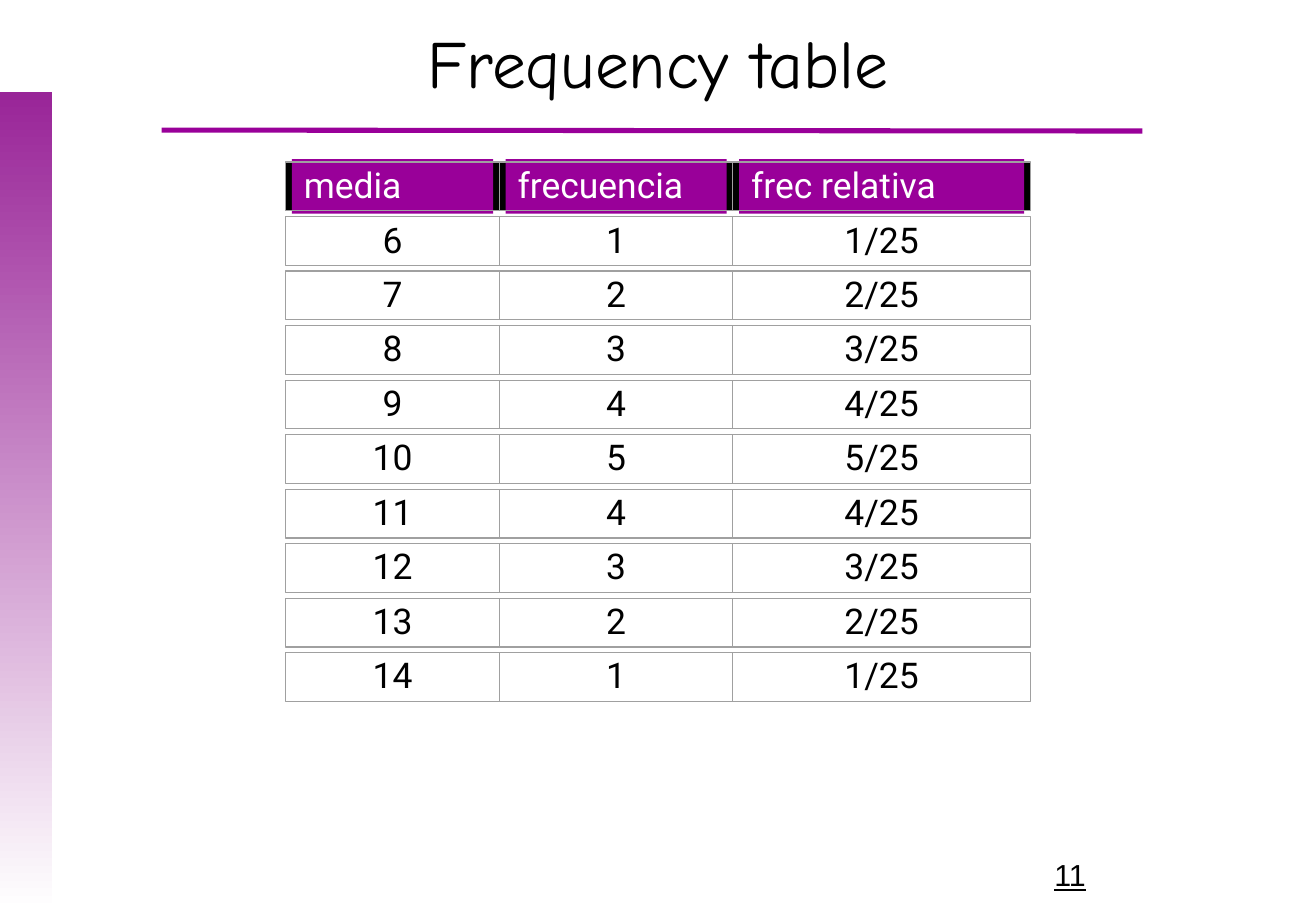
from lxml import etree
from pptx import Presentation
from pptx.dml.color import RGBColor
from pptx.enum.shapes import MSO_CONNECTOR, MSO_SHAPE
from pptx.enum.text import MSO_ANCHOR, PP_ALIGN
from pptx.oxml.ns import qn
from pptx.util import Cm, Pt

RECT = MSO_SHAPE.RECTANGLE
LINE = MSO_CONNECTOR.STRAIGHT
TOP, MIDDLE = MSO_ANCHOR.TOP, MSO_ANCHOR.MIDDLE
LEFT, CENTER, JUSTIFY = PP_ALIGN.LEFT, PP_ALIGN.CENTER, PP_ALIGN.JUSTIFY

BLACK = RGBColor(0x00, 0x00, 0x00)
WHITE = RGBColor(0xFF, 0xFF, 0xFF)
PURPLE = RGBColor(0x99, 0x00, 0x99)
VIOLET = RGBColor(0x99, 0x25, 0x98)
GREY = RGBColor(0xA0, 0xA0, 0xA0)

PLAIN_STYLE = "{2D5ABB26-0587-4C30-8999-92F81FD0307C}"  # no style, no grid

# Table content: media, frecuencia; the relative share follows from the total
HEADS = ["media", "frecuencia", "frec relativa"]
COUNTS = [1, 2, 3, 4, 5, 4, 3, 2, 1]
TOTAL = sum(COUNTS)
ROWS = [HEADS] + [
    [str(mean), str(count), f"{count}/{TOTAL}"]
    for mean, count in enumerate(COUNTS, start=6)
]

# Table geometry in centimetres
GRID_X, GRID_Y = 5.97, 3.33
WIDTHS = [4.47, 4.88, 6.22]
PITCH = 1.14
FRAME = 1.02
GAP = (PITCH - FRAME) / 2
EDGE = 0.13


def add_rect(slide, x, y, w, h, fill=None, line=None):
    rect = slide.shapes.add_shape(RECT, Cm(x), Cm(y), Cm(w), Cm(h))
    rect.shadow.inherit = False
    if fill is None:
        rect.fill.background()
    else:
        rect.fill.solid()
        rect.fill.fore_color.rgb = fill
    if line is None:
        rect.line.fill.background()
    else:
        rect.line.color.rgb = line
        rect.line.width = Pt(0)
    return rect


def style_text(para, face, size, color, align):
    para.alignment = align
    font = para.font
    font.name, font.size = face, Pt(size)
    font.color.rgb = color


def add_text(slide, x, y, w, h, text, face, size, align, anchor):
    frame = slide.shapes.add_textbox(Cm(x), Cm(y), Cm(w), Cm(h)).text_frame
    frame.word_wrap = True
    frame.vertical_anchor = anchor
    para = frame.paragraphs[0]
    para.text = text
    style_text(para, face, size, BLACK, align)
    return para


def add_band(slide):
    band = add_rect(slide, 0, 1.93, 1.09, 17.12)
    band.fill.gradient()
    band.fill.gradient_angle = 270
    for stop, color in zip(band.fill.gradient_stops, (VIOLET, WHITE)):
        stop.color.rgb = color


def add_rule(slide):
    rule = slide.shapes.add_connector(
        LINE, Cm(3.38), Cm(2.72), Cm(23.88), Cm(2.74))
    rule.line.color.rgb = PURPLE
    rule.line.width = Pt(3)
    etree.SubElement(rule._element.spPr, qn("a:effectLst"))


def add_frames(slide):
    for row in range(len(ROWS)):
        x, y = GRID_X, GRID_Y + row * PITCH
        for width in WIDTHS:
            if row == 0:
                add_rect(slide, x, y + GAP, width, FRAME, fill=BLACK)
                add_rect(slide, x + EDGE, y, width - 2 * EDGE, PITCH,
                         fill=PURPLE)
            add_rect(slide, x, y + GAP, width, FRAME, line=GREY)
            x += width


def add_grid(slide):
    table = slide.shapes.add_table(
        len(ROWS), len(WIDTHS), Cm(GRID_X), Cm(GRID_Y),
        Cm(sum(WIDTHS)), Cm(PITCH * len(ROWS))).table
    table.horz_banding = False
    table._tbl.tblPr.find(qn("a:tableStyleId")).text = PLAIN_STYLE
    for column, width in zip(table.columns, WIDTHS):
        column.width = Cm(width)
    for r, values in enumerate(ROWS):
        table.rows[r].height = Cm(PITCH)
        color, align = (BLACK, CENTER) if r else (WHITE, JUSTIFY)
        for c, value in enumerate(values):
            cell = table.cell(r, c)
            cell.fill.background()
            cell.margin_left = cell.margin_right = Cm(0.38)
            cell.margin_top = cell.margin_bottom = Cm(0.1)
            cell.vertical_anchor = MIDDLE
            cell.text = value
            para = cell.text_frame.paragraphs[0]
            style_text(para, "Roboto", 21, color, align)
            para.font.bold = False


def main():
    deck = Presentation()
    deck.slide_width, deck.slide_height = Cm(27.51), Cm(19.05)
    slide = deck.slides.add_slide(deck.slide_layouts[6])

    # Side band and rule below the title
    add_band(slide)
    add_rule(slide)

    # Title and page number
    add_text(slide, 2.06, 0.43, 23.39, 1.7, "Frequency table",
             "Comic Neue", 40, CENTER, MIDDLE)
    page = add_text(slide, 21.79, 17.78, 5.74, 1.27, "11",
                    "Arial", 18, LEFT, TOP)
    page.font.underline = True

    # Cell frames, then the table on top of them
    add_frames(slide)
    add_grid(slide)

    deck.save("out.pptx")


if __name__ == "__main__":
    main()
